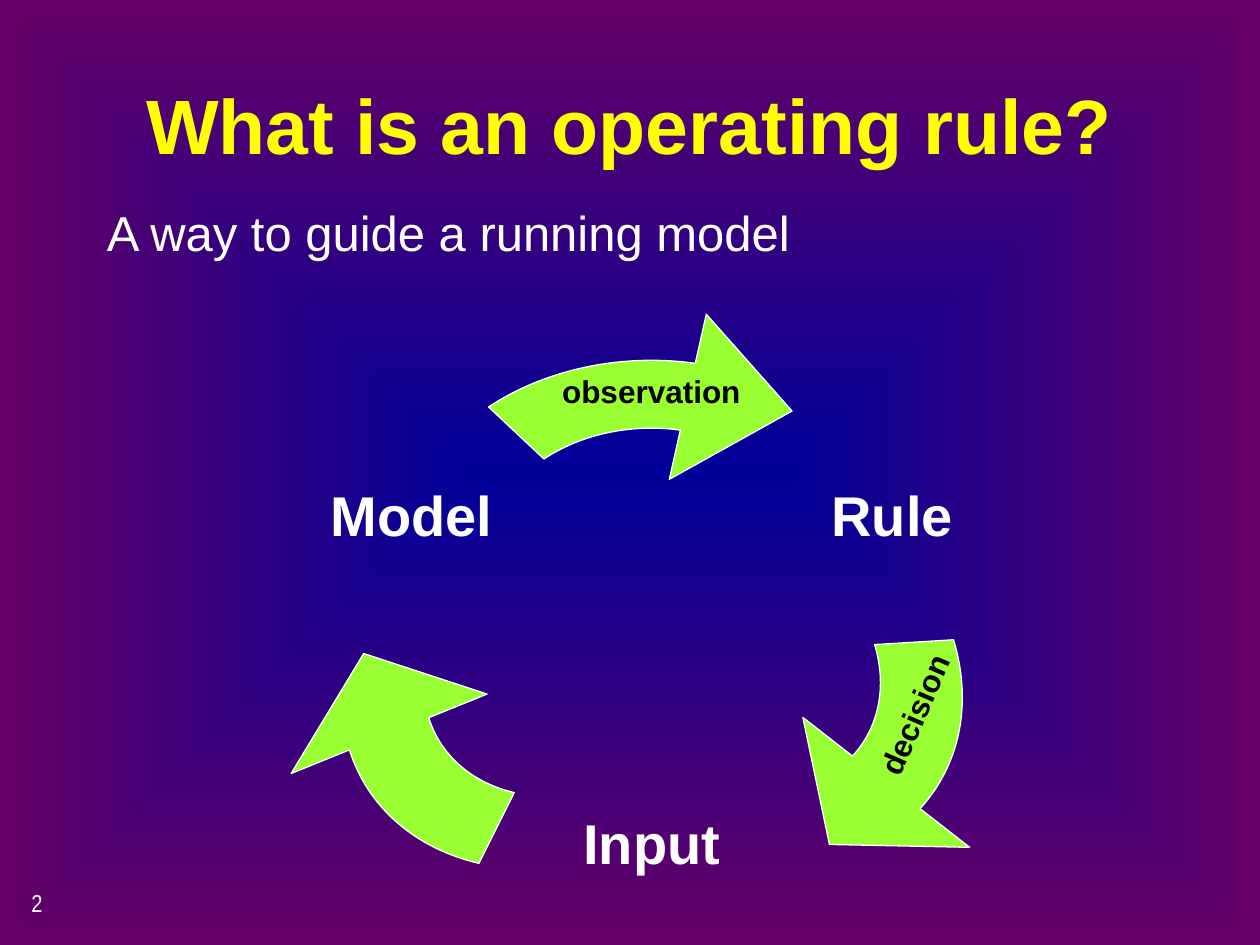
from math import cos, radians, sin, tan

from lxml import etree
from pptx import Presentation
from pptx.dml.color import RGBColor
from pptx.enum.text import MSO_ANCHOR, PP_ALIGN
from pptx.oxml.ns import qn
from pptx.util import Pt

COLORS = {
    "center": "000099", "edge": "660066", "title": "FFFF00",
    "text": "FFFFFF", "arrow": "99FF33", "label": "000000",
}
TITLE = {"size": Pt(44), "bold": True, "name": "Arial"}
BODY = {"size": Pt(28), "bold": False, "name": "Arial"}
STAGE = {"size": Pt(32), "bold": True, "name": "Arial"}
LABEL = {"size": Pt(18), "bold": True, "name": "Arial"}
NUMBER = {"size": Pt(14), "bold": False, "name": "Arial Narrow"}

UNIT = 10000  # radius of the arrow's ellipse in path units


def rgb(key):
    return RGBColor.from_string(COLORS[key])


def paint_background(slide):
    fill = slide.background.fill
    fill.gradient()
    for stop, key in zip(fill.gradient_stops, ("center", "edge")):
        stop.color.rgb = rgb(key)
    direction = slide.background._cSld.find(".//" + qn("a:lin"))
    gradient = direction.getparent()
    gradient.remove(direction)
    shade = etree.SubElement(gradient, qn("a:path"), {"path": "rect"})
    etree.SubElement(shade, qn("a:fillToRect"),
                     {side: "50000" for side in "ltrb"})


def add_text(slide, box, text, font_format, color, align=PP_ALIGN.LEFT,
             anchor=MSO_ANCHOR.TOP, wrap=True, rotation=0):
    holder = slide.shapes.add_textbox(*(Pt(length) for length in box))
    holder.rotation = rotation
    frame = holder.text_frame
    frame.word_wrap = wrap
    frame.vertical_anchor = anchor
    paragraph = frame.paragraphs[0]
    paragraph.text = text
    paragraph.alignment = align
    for attribute, value in font_format.items():
        setattr(paragraph.font, attribute, value)
    paragraph.font.color.rgb = rgb(color)


def polar(radius, angle):
    return (radius * cos(radians(angle)), radius * sin(radians(angle)))


def arc(radius, start, end):
    """Return the three Bezier points that follow the start of an arc."""
    pull = 4 / 3 * tan(radians(end - start) / 4)
    x0, y0 = polar(radius, start)
    x1, y1 = polar(radius, end)
    return [(x0 - pull * y0, y0 + pull * x0),
            (x1 + pull * y1, y1 - pull * x1), (x1, y1)]


ARROW = [
    ("a:moveTo", [polar(0.66, 280)]),
    ("a:cubicBezTo", arc(0.66, 280, 230)),
    ("a:lnTo", [polar(1, 230)]),
    ("a:cubicBezTo", arc(1, 230, 280)),
    ("a:lnTo", [polar(1.25, 280)]),
    ("a:lnTo", [polar(0.93, 306.7)]),
    ("a:lnTo", [polar(0.41, 280)]),
    ("a:close", []),
]


def add_arrow(slide, box, rotation):
    """Draw the curved arrow on the ellipse that fills the box."""
    left, top, width, height = box
    outline = slide.shapes.build_freeform(Pt(left), Pt(top))
    outline.add_line_segments([(Pt(left + width), Pt(top + height))])
    arrow = outline.convert_to_shape()
    path = arrow._element.find(".//" + qn("a:path"))
    for child in list(path):
        path.remove(child)
    for side in "wh":
        path.set(side, str(2 * UNIT))
    for command, points in ARROW:
        step = etree.SubElement(path, qn(command))
        for x, y in points:
            etree.SubElement(step, qn("a:pt"), {
                "x": str(round(UNIT * (1 + x))),
                "y": str(round(UNIT * (1 + y)))})
    arrow.rotation = rotation
    arrow.shadow.inherit = False
    arrow.fill.solid()
    arrow.fill.fore_color.rgb = rgb("arrow")
    arrow.line.color.rgb = rgb("text")
    arrow.line.width = Pt(0.75)


def add_cycle(slide, box):
    left, top, width, height = box
    long, short = 289.4, 228.2
    for x, y, w, h, rotation in ((61.5, 25.9, long, short, 0),
                                 (132.1, 49, short, long, 120),
                                 (52.9, 49.7, short, long, 240)):
        add_arrow(slide, (left + x, top + y, w, h), rotation)

    for stage, x, y in (("Rule", 285.8, 68), ("Input", 148.6, 255.6),
                        ("Model", 11.1, 68)):
        add_text(slide, (left + x, top + y, 116, 91.4), stage, STAGE, "text",
                 PP_ALIGN.CENTER, MSO_ANCHOR.MIDDLE)

    for label, x, y, label_width, rotation in (
            ("observation", 75.9, 28.8, 260.6, 0),
            ("decision", 306.3, 213.8, 100, 293.5)):
        add_text(slide, (left + x, top + y, label_width, 28.8), label, LABEL,
                 "label", PP_ALIGN.CENTER, wrap=False, rotation=rotation)


def add_heading(slide, box):
    left, top, width, height = box
    add_text(slide, (left, top, width, 90), "What is an operating rule?",
             TITLE, "title", PP_ALIGN.CENTER, MSO_ANCHOR.MIDDLE)
    add_text(slide, (left, top + 86.4, width, height - 86.4),
             "A way to guide a running model", BODY, "text")


def main():
    presentation = Presentation()
    presentation.slide_width, presentation.slide_height = Pt(720), Pt(540)
    slide = presentation.slides.add_slide(presentation.slide_layouts[6])
    paint_background(slide)
    add_text(slide, (10.8, 504, 150, 36), "2", NUMBER, "text")
    add_heading(slide, (54, 25.5, 612, 236.5))
    add_cycle(slide, (166, 180, 392, 347))
    presentation.save("out.pptx")


if __name__ == "__main__":
    main()
